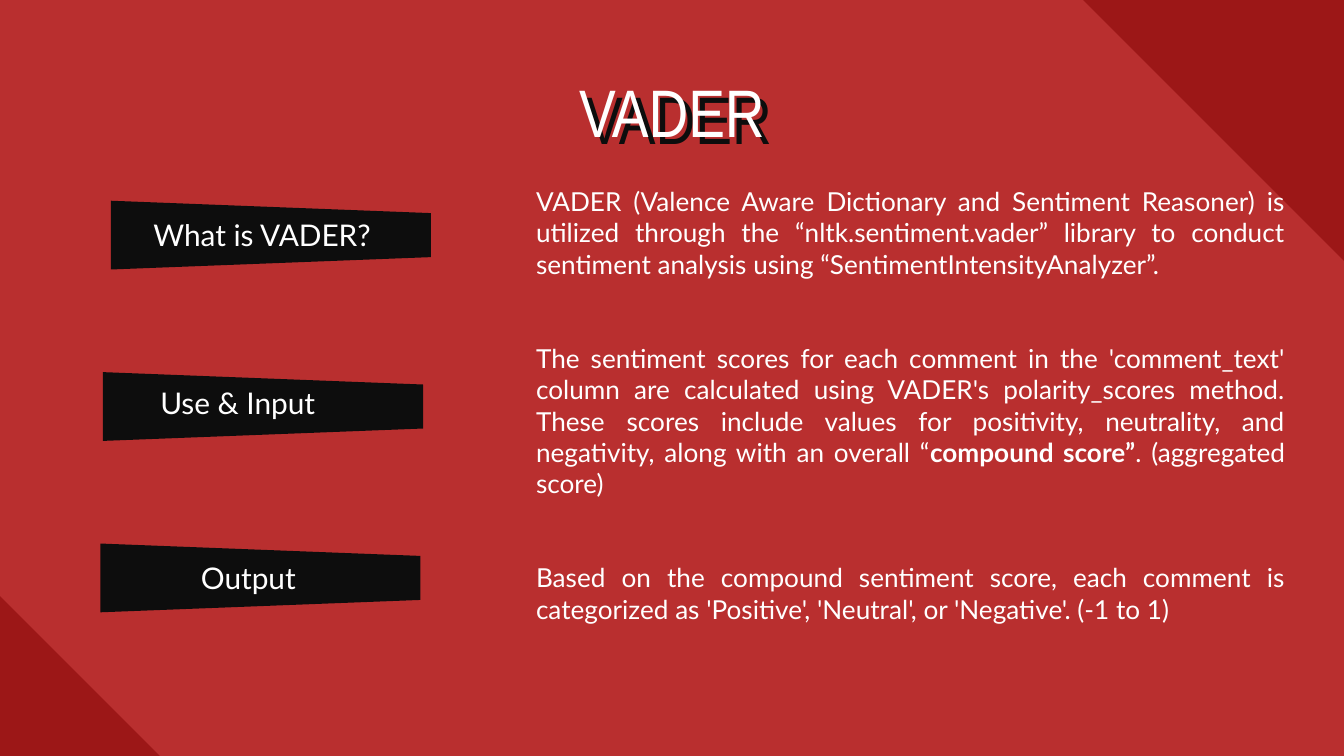
from lxml import etree
from pptx import Presentation
from pptx.dml.color import RGBColor
from pptx.enum.shapes import MSO_SHAPE
from pptx.enum.text import MSO_ANCHOR, MSO_AUTO_SIZE, PP_ALIGN
from pptx.oxml.ns import qn
from pptx.util import Cm, Pt

TRIANGLE, TRAPEZOID = MSO_SHAPE.RIGHT_TRIANGLE, MSO_SHAPE.TRAPEZOID
TOP, MIDDLE = MSO_ANCHOR.TOP, MSO_ANCHOR.MIDDLE
CENTER, JUSTIFY = PP_ALIGN.CENTER, PP_ALIGN.JUSTIFY
NO_AUTOFIT = MSO_AUTO_SIZE.NONE

RED, DARK_RED, BLACK, WHITE = "B92F2F", "9C1717", "0D0D0D", "FFFFFF"
WIDTH, HEIGHT = 25.4, 14.29

HEADING = "VADER"
LABELS = [
    ("What is VADER?", 1.78, 3.91, 4.47),
    ("Use & Input", 1.32, 7.09, 4.32),
    ("Output", 1.52, 10.39, 4.27),
]
EXPLANATIONS = [
    [("VADER (Valence Aware Dictionary and Sentiment Reasoner) is utilized "
      "through the “nltk.sentiment.vader” library to conduct sentiment "
      "analysis using “SentimentIntensityAnalyzer”.", False)],
    [("The sentiment scores for each comment in the 'comment_text' column are "
      "calculated using VADER's polarity_scores method. These scores include "
      "values for positivity, neutrality, and negativity, along with an "
      "overall “", False),
     ("compound score”", True),
     (". (aggregated score)", False)],
    [("Based on the compound sentiment score, each comment is categorized as "
      "'Positive', 'Neutral', or 'Negative'. (-1 to 1)", False)],
]
CORNERS = [(0, HEIGHT - 3.02, 3.02, 0), (WIDTH - 4.93, 0, 4.93, 180)]
BANNER_TOP, BANNER_STEP = 1.42, 3.24
BANNER_WIDTH, BANNER_LENGTH = 1.3, 6.05


def rgb(value):
    return RGBColor.from_string(value)


def add_block(slide, kind, box, color, rotation=0):
    block = slide.shapes.add_shape(kind, *map(Cm, box))
    block.shadow.inherit = False
    block.fill.solid()
    block.fill.fore_color.rgb = rgb(color)
    block.line.fill.background()
    block.rotation = rotation
    return block


def write(slide, holder, paragraphs, box, size, font="Lato", align=CENTER,
          anchor=MIDDLE, gap=0):
    holder.left, holder.top, holder.width, holder.height = map(Cm, box)
    slide.shapes.element.append(holder.element)
    frame = holder.text_frame
    frame.word_wrap = True
    frame.auto_size = NO_AUTOFIT
    frame.vertical_anchor = anchor
    frame.margin_left = frame.margin_right = Cm(0.25)
    frame.margin_top = frame.margin_bottom = Cm(0.25)
    for index, pieces in enumerate(paragraphs):
        paragraph = frame.add_paragraph() if index else frame.paragraphs[0]
        paragraph.alignment = align
        paragraph.space_before = Pt(gap if index else 0)
        properties = paragraph._p.get_or_add_pPr()
        properties.set("marL", "0")
        properties.set("indent", "0")
        etree.SubElement(properties, qn("a:buNone"))
        for words, bold in pieces:
            run = paragraph.add_run()
            run.text = words
            run.font.name = font
            run.font.size = Pt(size)
            run.font.bold = bold
            run.font.color.rgb = rgb(WHITE)


def cast_shadow(holder, color, distance):
    effects = etree.SubElement(holder.element.spPr, qn("a:effectLst"))
    shadow = etree.SubElement(effects, qn("a:outerShdw"), dist=str(distance),
                              dir="2700000", algn="bl", rotWithShape="0")
    etree.SubElement(shadow, qn("a:srgbClr"), val=color)


def main():
    deck = Presentation()
    deck.slide_width, deck.slide_height = Cm(WIDTH), Cm(HEIGHT)
    slide = deck.slides.add_slide(deck.slide_layouts.get_by_name("Comparison"))
    slide.background.fill.solid()
    slide.background.fill.fore_color.rgb = rgb(RED)
    heading, *label_holders, explanation = slide.placeholders

    for left, top, side, rotation in CORNERS:
        add_block(slide, TRIANGLE, (left, top, side, side), DARK_RED, rotation)

    write(slide, heading, [[(HEADING, False)]], (2, 1.07, 21.4, 1.65), 36,
          font="Arial Narrow", anchor=TOP)
    cast_shadow(heading, BLACK, Cm(0.19))

    for index, (label, left, top, banner_left) in enumerate(LABELS):
        banner_top = BANNER_TOP + index * BANNER_STEP
        banner = add_block(slide, TRAPEZOID, (banner_left, banner_top,
                           BANNER_WIDTH, BANNER_LENGTH), BLACK, 90)
        banner.adjustments[0] = 0.18
        write(slide, label_holders[index], [[(label, False)]],
              (left, top, 6.35, 1.04), 16)

    write(slide, explanation, EXPLANATIONS, (9.88, 2.64, 14.66, 10.03), 14,
          align=JUSTIFY, gap=33.6)
    deck.save("out.pptx")


if __name__ == "__main__":
    main()
